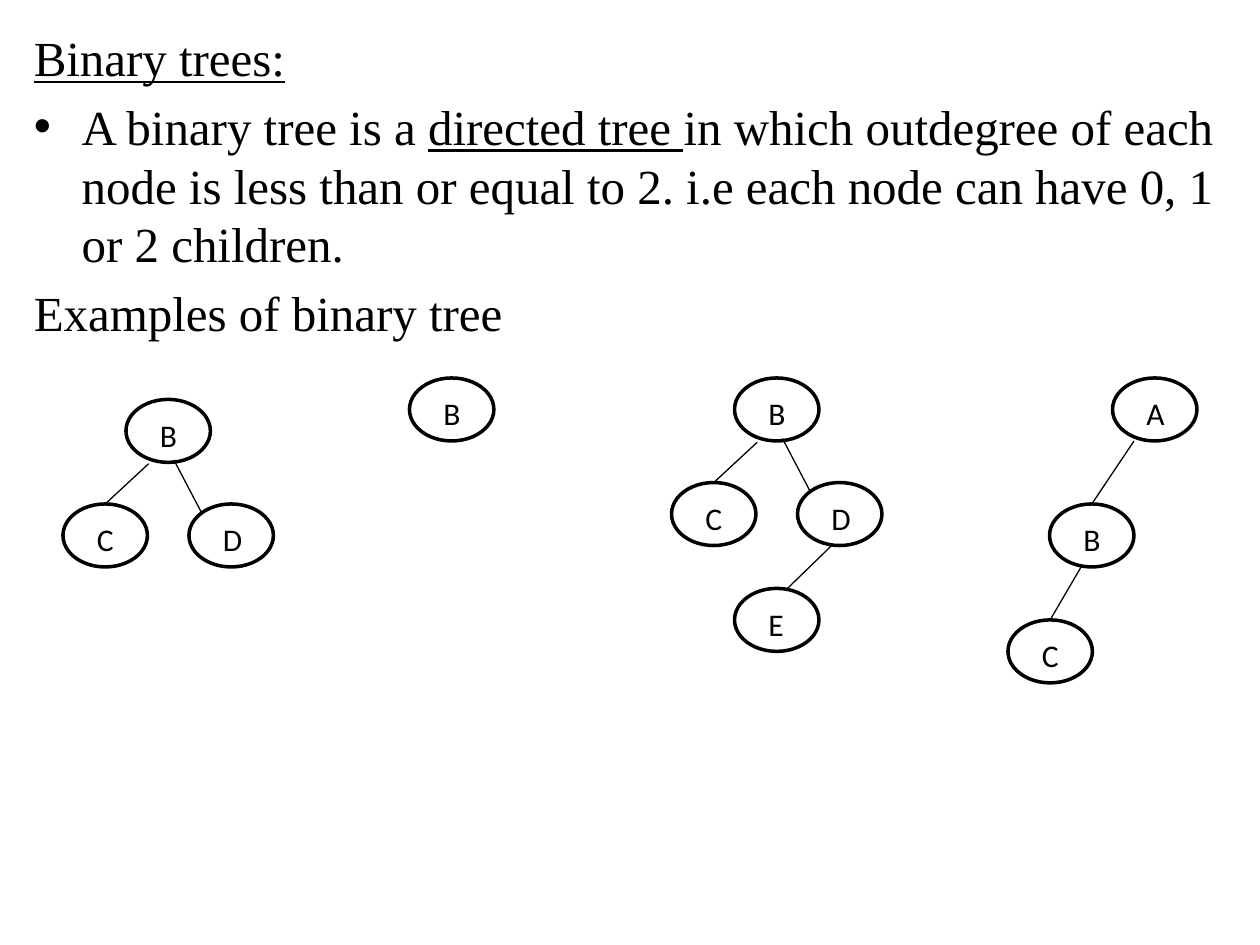
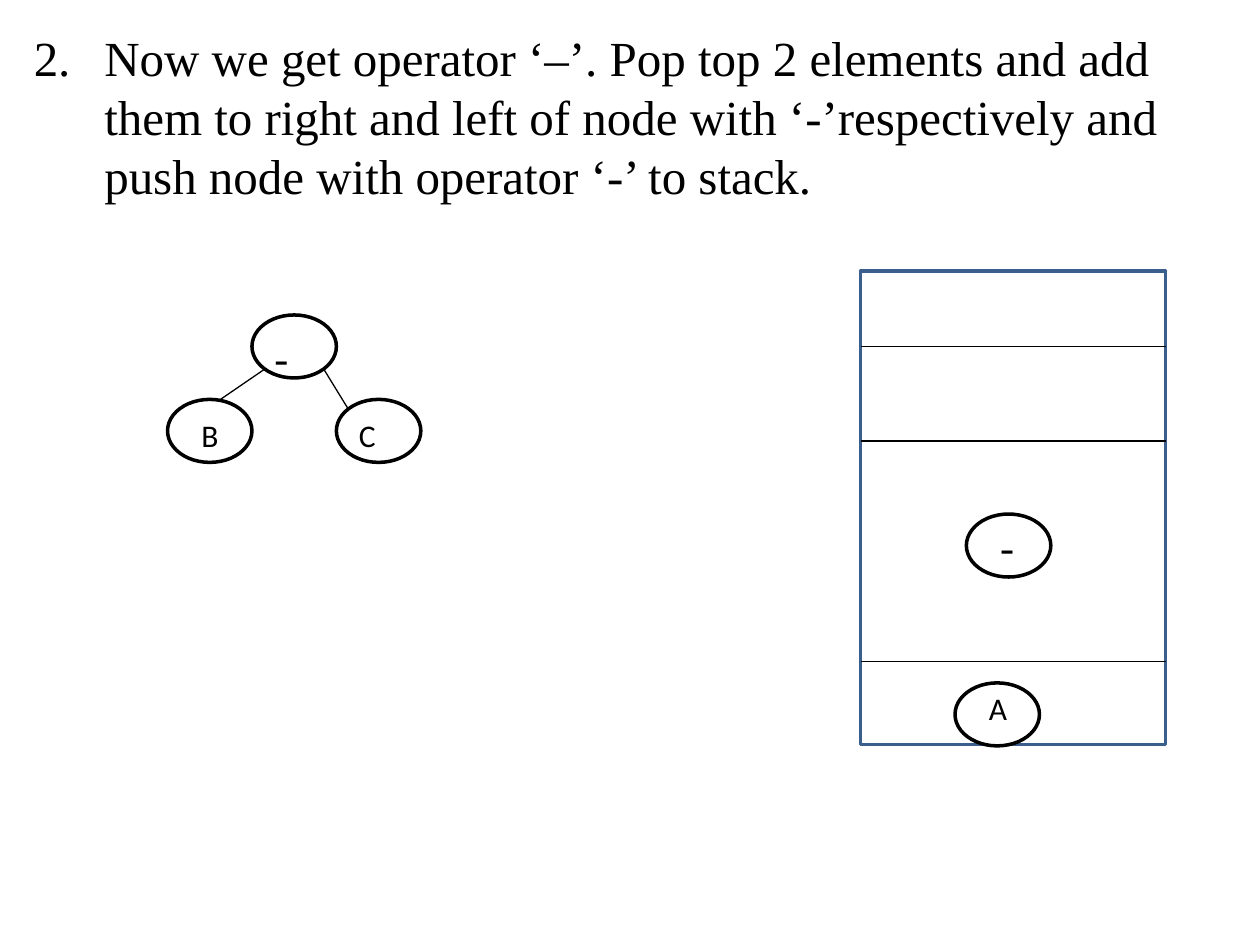
from lxml import etree
from pptx import Presentation
from pptx.dml.color import RGBColor
from pptx.enum.shapes import MSO_CONNECTOR, MSO_SHAPE
from pptx.enum.text import MSO_ANCHOR
from pptx.oxml.ns import qn
from pptx.util import Inches, Pt

OVAL, RECTANGLE = MSO_SHAPE.OVAL, MSO_SHAPE.RECTANGLE
STRAIGHT = MSO_CONNECTOR.STRAIGHT
TOP = MSO_ANCHOR.TOP

COLORS = {"ink": "000000", "paper": "FFFFFF", "stack": "3A5F8C"}
SERIF, SANS = "Times New Roman", "Calibri"
NODE_W, NODE_H = 0.67, 0.5
LABEL_OFFSET = (0.17, 0.08)

# Where an edge leaves its parent and meets its child, from each node's corner;
# None joins the edge to the top of the child
LEFT_EDGE = ((0.18, 0.51), None)
RIGHT_EDGE = ((0.38, 0.48), (0.1, 0.07))


def rgb(name):
    return RGBColor.from_string(COLORS[name])


def style_font(font, face, size):
    font.name, font.size = face, Pt(size)
    font.color.rgb = rgb("ink")


def add_text_box(slide, x, y, w, h):
    frame = slide.shapes.add_textbox(
        Inches(x), Inches(y), Inches(w), Inches(h)).text_frame
    frame.word_wrap = True
    frame.vertical_anchor = TOP
    return frame


def add_body(slide, paragraphs, indent):
    """Each paragraph is (bulleted, [(text, underlined), ...])."""
    body = add_text_box(slide, 0.17, 0.17, 9.67, 7.17)
    for i, (bulleted, pieces) in enumerate(paragraphs):
        para = body.paragraphs[0] if i == 0 else body.add_paragraph()
        style_font(para.font, SERIF, 28)
        para.space_before = Pt(5.6)
        props = para._p.get_or_add_pPr()
        props.set("marL", str(Inches(indent)))
        props.set("indent", str(-Inches(indent)))
        if bulleted:
            face = etree.Element(qn("a:buFont"), typeface="Arial")
            bullet = etree.Element(qn("a:buChar"), char="•")
            props.find(qn("a:defRPr")).addprevious(face)
            face.addnext(bullet)
        for text, underlined in pieces:
            run = para.add_run()
            run.text = text
            style_font(run.font, SERIF, 28)
            run.font.underline = underlined


def add_outlined(slide, kind, x, y, w, h, line):
    shape = slide.shapes.add_shape(kind, Inches(x), Inches(y), Inches(w), Inches(h))
    shape.shadow.inherit = False
    shape.fill.solid()
    shape.fill.fore_color.rgb = rgb("paper")
    shape.line.color.rgb = rgb(line)
    shape.line.width = Pt(2)
    return shape


def add_line(slide, x1, y1, x2, y2):
    line = slide.shapes.add_connector(
        STRAIGHT, Inches(x1), Inches(y1), Inches(x2), Inches(y2))
    line.line.color.rgb = rgb("ink")
    line.line.width = Pt(0.75)
    etree.SubElement(line._element.spPr, qn("a:effectLst"))
    return line


def add_node(slide, label, x, y, offset=LABEL_OFFSET):
    node = add_outlined(slide, OVAL, x, y, NODE_W, NODE_H, "ink")
    dx, dy = offset
    caption = add_text_box(slide, x + dx, y + dy, 0.5, 0.4).paragraphs[0]
    caption.text = label
    face, size = (SERIF, 24) if label == "-" else (SANS, 18)
    style_font(caption.font, face, size)
    return node


def add_tree(slide, nodes, edges=()):
    """nodes: (label, x, y[, label offset]); edges: (parent, child, ends)."""
    corners = {node[0]: node[1:3] for node in nodes}
    ovals = {node[0]: add_node(slide, *node) for node in nodes}
    for parent, child, (leave, meet) in edges:
        px, py = corners[parent]
        cx, cy = corners[child]
        dx, dy = meet or (NODE_W / 2, 0)
        edge = add_line(slide, px + leave[0], py + leave[1], cx + dx, cy + dy)
        if meet is None:
            edge.end_connect(ovals[child], 0)


def add_stack(slide, x, y, w, h, dividers):
    add_outlined(slide, RECTANGLE, x, y, w, h, "stack")
    for divider in dividers:
        add_line(slide, x, divider, x + w, divider)


def build_binary_trees(slide):
    add_body(slide, [
        (False, [("Binary trees:", True)]),
        (True, [("A binary tree is a ", False),
                ("directed tree ", True),
                ("in which outdegree of each node is less than or equal to 2. "
                 "i.e each node can have 0, 1 or 2 children.", False)]),
        (False, [("Examples of binary tree", False)]),
    ], indent=0.38)

    # Root with two children
    add_tree(slide, [("B", 1, 3.17), ("C", 0.5, 4), ("D", 1.5, 4)],
             [("B", "D", RIGHT_EDGE), ("B", "C", LEFT_EDGE)])
    # Single node
    add_tree(slide, [("B", 3.25, 3)])
    # Three levels
    add_tree(slide,
             [("B", 5.83, 3), ("C", 5.33, 3.83), ("D", 6.33, 3.83), ("E", 5.83, 4.67)],
             [("B", "D", RIGHT_EDGE), ("B", "C", LEFT_EDGE),
              ("D", "E", ((0.27, 0.5), (0.42, 0)))])
    # Left-leaning chain
    add_tree(slide, [("A", 8.83, 3), ("B", 8.33, 4), ("C", 8, 4.92)],
             [("A", "B", ((0.17, 0.5), None)), ("B", "C", ((0.25, 0.5), None))])


def build_operator_step(slide):
    add_body(slide, [
        (False, [("2.\tNow we get operator ‘–’. Pop top 2 elements and add them to "
                  "right and left of node with ‘-’respectively and push node with "
                  "operator ‘-’ to stack.", False)]),
    ], indent=0.56)

    # Stack and its contents
    add_stack(slide, 6.83, 2.15, 2.42, 3.76, dividers=(2.75, 3.5, 5.25))
    add_node(slide, "-", 7.67, 4.08, (0.17, 0))
    add_node(slide, "A", 7.58, 5.42, (0.17, 0))

    # Subtree for the operator
    add_tree(slide,
             [("-", 2, 2.5, (0.08, 0.08)), ("B", 1.33, 3.17),
              ("C", 2.67, 3.17, (0.08, 0.08))],
             [("-", "B", ((0.1, 0.43), (0.42, 0))),
              ("-", "C", ((0.57, 0.43), (0.09, 0.07)))])


def main():
    deck = Presentation()
    deck.slide_width, deck.slide_height = Inches(10), Inches(7.5)
    blank = deck.slide_layouts[6]
    for build in (build_binary_trees, build_operator_step):
        build(deck.slides.add_slide(blank))
    deck.save("out.pptx")


if __name__ == "__main__":
    main()
